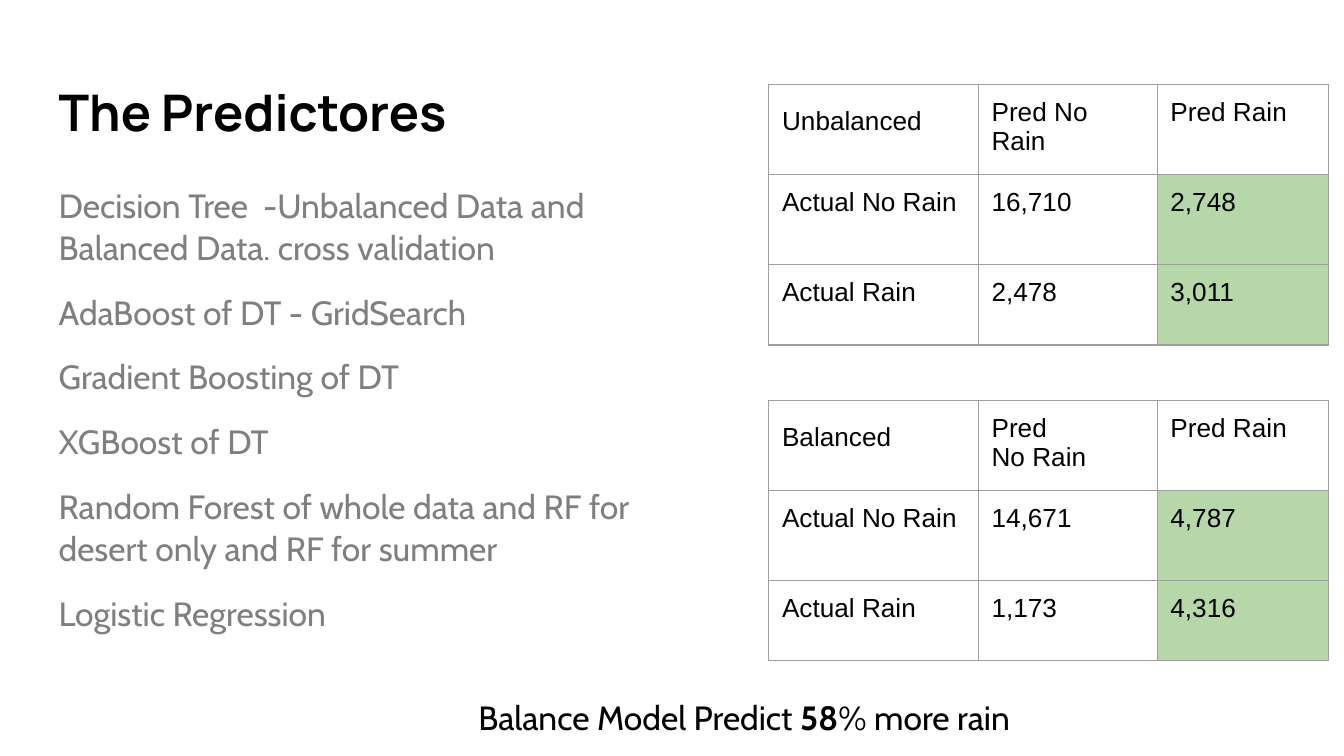
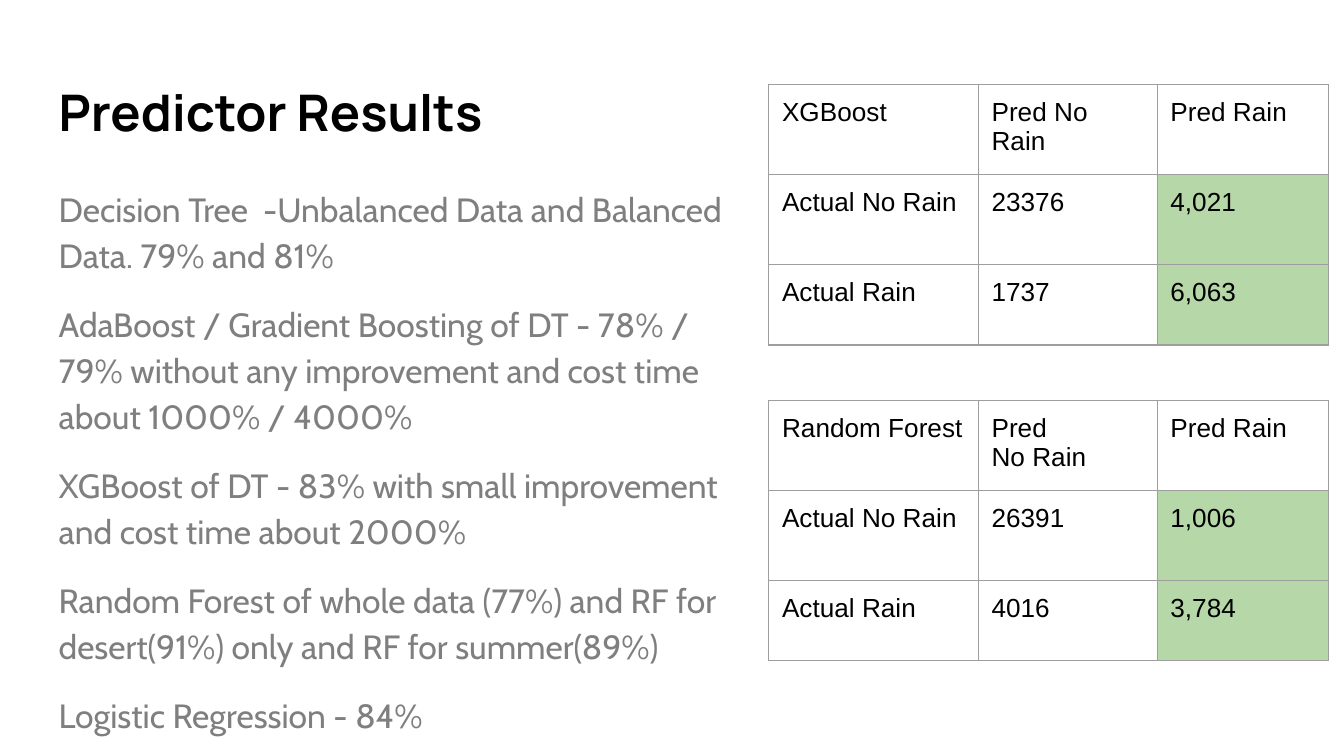
import pptx
import pptx.dml.color
import pptx.enum.text
import pptx.oxml
import pptx.oxml.ns
import pptx.util

Cm, Pt = pptx.util.Cm, pptx.util.Pt
RGB = pptx.dml.color.RGBColor
ANCHOR = pptx.enum.text.MSO_ANCHOR
FIT = pptx.enum.text.MSO_AUTO_SIZE

# Colours
BLACK = RGB(0x00, 0x00, 0x00)
GREY = RGB(0x7F, 0x7F, 0x7F)
GREEN = RGB(0xB6, 0xD7, 0xA8)
LINE = RGB(0x9E, 0x9E, 0x9E)

# Text formats
TITLE = {"name": "Manrope", "size": Pt(27), "bold": True, "color": BLACK}
BODY = {"name": "Cabin", "size": Pt(18), "bold": False, "color": GREY}
NOTE = {**BODY, "color": BLACK}
STRONG = {**NOTE, "bold": True}
CELL = {"name": "Arial", "size": Pt(14), "bold": False, "color": BLACK}

# Shared layout, in centimetres
INSET = Cm(0.25)
LEFT = 0.86
GRID_X, GRID_TOPS = 14.53, (1.6, 7.57)
COLS, ROWS = (3.96, 3.38, 3.23), (1.7, 1.7, 1.52)
HEADS = ("Pred No Rain", "Pred\nNo Rain")
SIDES = ("lnL", "lnR", "lnT", "lnB")


def set_all(item, values):
    for key, value in values.items():
        setattr(item, key, value)


def add_run(para, text, style):
    run = para.add_run()
    run.text = text
    for key, value in style.items():
        if key == "color":
            run.font.color.rgb = value
        else:
            setattr(run.font, key, value)


def add_box(slide, area, paras, spacing=None, **frame):
    """Each paragraph is a list of (text, style) runs."""
    text = slide.shapes.add_textbox(*map(Cm, area)).text_frame
    set_all(text, {"word_wrap": True, "margin_left": INSET, "margin_right": INSET,
                   "margin_top": INSET, "margin_bottom": INSET, **frame})
    for i, runs in enumerate(paras):
        para = text.add_paragraph() if i else text.paragraphs[0]
        set_all(para, spacing or {})
        for words, style in runs:
            add_run(para, words, style)
    return text


def add_title(slide, words):
    add_box(slide, (LEFT, 1.24, 23.67, 1.73), [[(words, TITLE)]],
            vertical_anchor=ANCHOR.MIDDLE)


def add_body(slide, width, height, lead, lines):
    text = add_box(slide, (LEFT, 3.2, width, height),
                   [[(line, BODY)] for line in lines],
                   {"line_spacing": lead, "space_before": Pt(12)})
    text.paragraphs[-1].space_after = Pt(12)


def add_edges(cell):
    props = cell._tc.get_or_add_tcPr()
    for side in SIDES:
        props.append(pptx.oxml.parse_xml(
            f'<a:{side} {pptx.oxml.ns.nsdecls("a")} w="{Pt(0.75)}">'
            f'<a:solidFill><a:srgbClr val="{LINE}"/></a:solidFill></a:{side}>'))


def fill_cell(cell, words, green):
    set_all(cell, {"margin_left": INSET, "margin_right": INSET,
                   "margin_top": INSET, "margin_bottom": INSET})
    add_edges(cell)
    if green:
        cell.fill.solid()
        cell.fill.fore_color.rgb = GREEN
    else:
        cell.fill.background()
    text = cell.text_frame
    for i, line in enumerate(words.split("\n")):
        para = text.add_paragraph() if i else text.paragraphs[0]
        add_run(para, line, CELL)


def add_grid(slide, top, name, head, dry, wet, tall):
    """Confusion matrix; a tall name cell ends in a body-size space."""
    rows = ((name, head, "Pred Rain"),
            ("Actual No Rain", *dry), ("Actual Rain", *wet))
    area = (GRID_X, top, sum(COLS), sum(ROWS))
    grid = slide.shapes.add_table(len(ROWS), len(COLS), *map(Cm, area)).table
    set_all(grid, {"first_row": False, "horz_banding": False})
    for col, width in zip(grid.columns, COLS):
        col.width = Cm(width)
    for row, height in zip(grid.rows, ROWS):
        row.height = Cm(height)
    for r, row in enumerate(rows):
        for c, words in enumerate(row):
            fill_cell(grid.cell(r, c), words, r > 0 and c == 2)
    if tall:
        add_run(grid.cell(0, 0).text_frame.paragraphs[0], " ", BODY)


def add_grids(slide, models, tall=False):
    for top, head, (name, dry, wet) in zip(GRID_TOPS, HEADS, models):
        add_grid(slide, top, name, head, dry, wet, tall)


def main():
    deck = pptx.Presentation()
    set_all(deck, {"slide_width": Cm(25.4), "slide_height": Cm(14.29)})
    blank = deck.slide_layouts[6]

    # Predictors
    slide = deck.slides.add_slide(blank)
    add_title(slide, "The Predictores")
    add_body(slide, 12.5, 9.5, 1.05, (
        "Decision Tree  -Unbalanced Data and Balanced Data. cross validation",
        "AdaBoost of DT - GridSearch",
        "Gradient Boosting of DT",
        "XGBoost of DT",
        "Random Forest of whole data and RF for desert only and RF for summer",
        "Logistic Regression"))
    add_grids(slide, (
        ("Unbalanced", ("16,710", "2,748"), ("2,478", "3,011")),
        ("Balanced", ("14,671", "4,787"), ("1,173", "4,316"))), tall=True)
    add_box(slide, (8.79, 12.93, 11.28, 1.27),
            [[("Balance Model Predict ", NOTE), ("58", STRONG),
              ("% more rain", NOTE)]], auto_size=FIT.SHAPE_TO_FIT_TEXT)

    # Results
    slide = deck.slides.add_slide(blank)
    add_title(slide, "Predictor Results")
    add_body(slide, 13.67, 10.44, 1.15, (
        "Decision Tree  -Unbalanced Data and Balanced Data. 79% and 81%",
        "AdaBoost / Gradient Boosting of DT - 78% / 79% without any "
        "improvement and cost time about 1000% / 4000%",
        "XGBoost of DT - 83% with small improvement and cost time about 2000%",
        "Random Forest of whole data (77%) and RF for desert(91%) only "
        "and RF for summer(89%)",
        "Logistic Regression - 84%"))
    add_grids(slide, (
        ("XGBoost", ("23376", "4,021"), ("1737", "6,063")),
        ("Random Forest", ("26391", "1,006"), ("4016", "3,784"))))

    deck.save("out.pptx")


if __name__ == "__main__":
    main()
